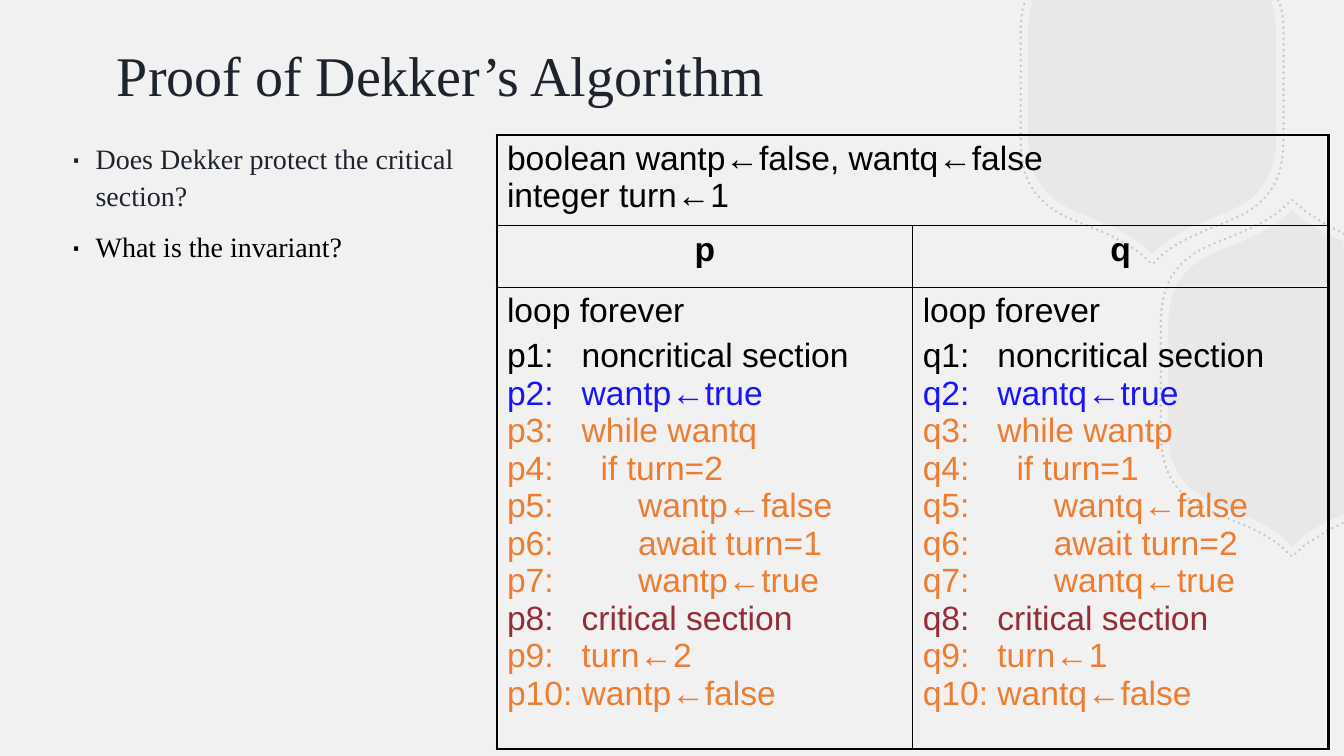
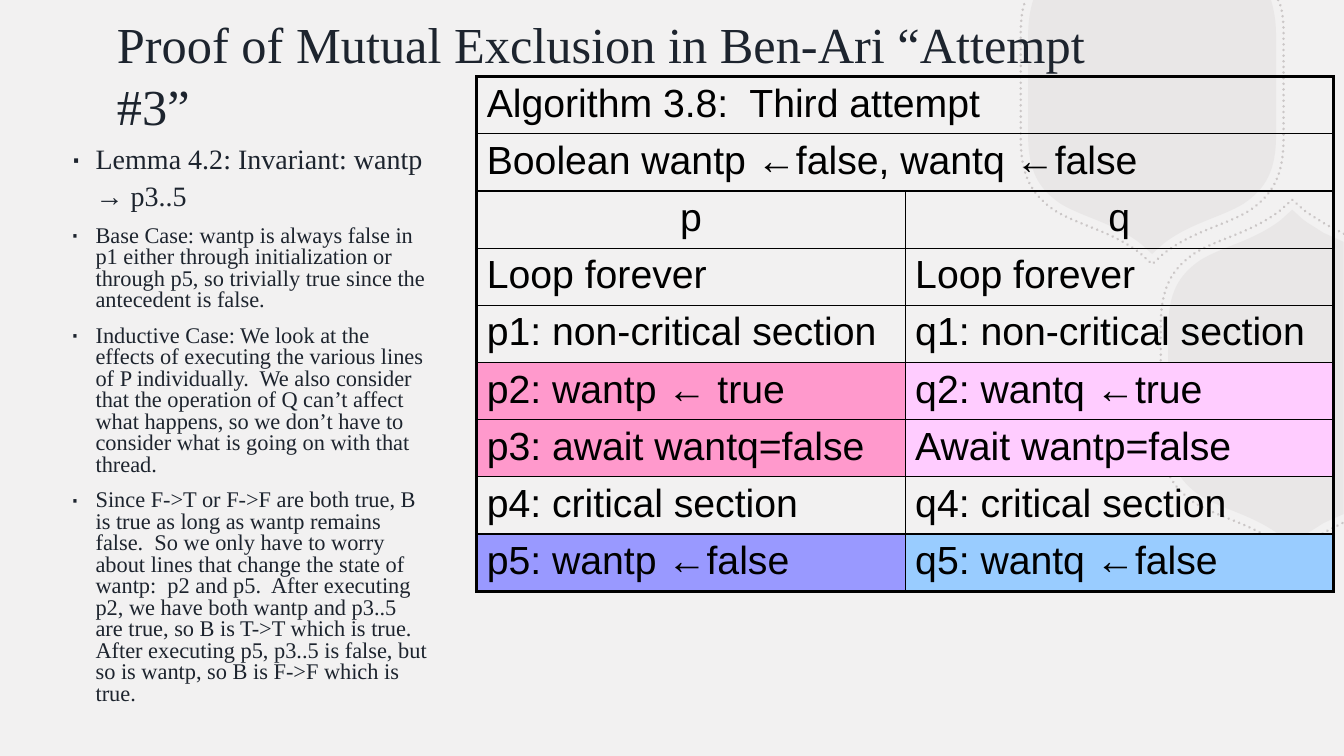
"""Build two slides on proving mutual exclusion for concurrent algorithms."""
from dataclasses import dataclass

from lxml.etree import SubElement
from pptx import Presentation
from pptx.dml.color import RGBColor
from pptx.enum.dml import MSO_LINE
from pptx.enum.text import MSO_ANCHOR, MSO_AUTO_SIZE, PP_ALIGN
from pptx.oxml.ns import qn
from pptx.util import Inches, Pt


@dataclass(frozen=True)
class Theme:
    background: str = "F2F1F1"
    ink: str = "1D242E"
    black: str = "000000"
    tile: str = "B8B2B2"
    announce: str = "1715FF"
    protocol: str = "ED7D31"
    critical: str = "952D38"
    pink: str = "FF99CC"
    pale_pink: str = "FFCCFF"
    violet: str = "9999FF"
    sky: str = "99CCFF"
    serif: str = "Times New Roman"
    sans: str = "Arial"
    lead_size: float = 20
    detail_size: float = 16
    outer_border: float = 2.25
    inner_border: float = 1
    paragraph_gap: float = 5.5


@dataclass(frozen=True)
class Line:
    text: str
    color: str = "000000"


@dataclass(frozen=True)
class Cell:
    paragraphs: tuple
    fill: str = ""
    header: bool = False


THEME = Theme()
SLIDE_WIDTH, SLIDE_HEIGHT = 40 / 3, 7.5
CODE_TABS = (0.74, 0.93, 1.3)

DEKKER = [
    ("noncritical section", 1, THEME.black),
    ("want{me}←true", 1, THEME.announce),
    ("while want{other}", 1, THEME.protocol),
    ("if turn={theirs}", 2, THEME.protocol),
    ("want{me}←false", 3, THEME.protocol),
    ("await turn={mine}", 3, THEME.protocol),
    ("want{me}←true", 3, THEME.protocol),
    ("critical section", 1, THEME.critical),
    ("turn←{theirs}", 1, THEME.protocol),
    ("want{me}←false", 1, THEME.protocol),
]


def dekker_process(me, other, mine, theirs):
    """Return the numbered program of one Dekker process as a cell."""
    program = []
    for number, (statement, depth, color) in enumerate(DEKKER, 1):
        code = statement.format(me=me, other=other, mine=mine, theirs=theirs)
        program.append(Line(f"{me}{number}:" + "\t" * depth + code, color))
    return Cell(((Line("loop forever"),), tuple(program)))


def plain(text, fill="", header=False):
    """Return a cell holding a single line."""
    return Cell(((Line(text),),), fill, header)


SLIDES = [
    {
        "title": "Proof of Dekker’s Algorithm",
        "title_size": 40,
        "bullets_box": (0.6, 1.32, 9.93, 3.99),
        "bullets": [
            ("Does Dekker protect the critical \nsection?", THEME.lead_size, 1.1, THEME.ink),
            ("What is the invariant?", THEME.lead_size, 1.1, THEME.black),
        ],
        "table_box": (4.93, 1.34, 8.25),
        "row_heights": [0.9, 0.61, 4.58],
        "table_size": 24,
        "bold_header": True,
        "rows": [
            [Cell(((Line("boolean wantp←false, wantq←false"), Line("integer turn←1")),))],
            [plain("p", header=True), plain("q", header=True)],
            [dekker_process("p", "q", 1, 2), dekker_process("q", "p", 2, 1)],
        ],
    },
    {
        "title": "Proof of Mutual Exclusion in Ben-Ari “Attempt #3”",
        "title_size": 36,
        "bullets_box": (0.6, 1.32, 3.75, 5.91),
        "bullets": [
            ("Lemma 4.2: Invariant: wantp → p3..5", THEME.lead_size, 1.1, THEME.ink),
            ("Base Case: wantp is always false in p1 either through initialization or "
             "through p5, so trivially true since the antecedent is false.",
             THEME.detail_size, 0.8, THEME.ink),
            ("Inductive Case: We look at the effects of executing the various lines of P "
             "individually.  We also consider that the operation of Q can’t affect what "
             "happens, so we don’t have to consider what is going on with that thread.",
             THEME.detail_size, 0.8, THEME.ink),
            ("Since F->T or F->F are both true, B is true as long as wantp remains false.  "
             "So we only have to worry about lines that change the state of wantp:  p2 and "
             "p5.  After executing p2, we have both wantp and p3..5 are true, so B is T->T "
             "which is true.  After executing p5, p3..5 is false, but so is wantp, so B is "
             "F->F which is true.", THEME.detail_size, 0.8, THEME.ink),
        ],
        "table_box": (4.73, 0.76, 8.5),
        "row_heights": [5.1 / 9] * 9,
        "table_size": 28,
        "bold_header": False,
        "rows": [
            [plain("Algorithm 3.8:  Third attempt")],
            [plain("Boolean wantp ←false, wantq ←false")],
            [plain("p", header=True), plain("q", header=True)],
            [plain("Loop forever"), plain("Loop forever")],
            [plain("p1: non-critical section"), plain("q1: non-critical section")],
            [plain("p2: wantp ← true", THEME.pink), plain("q2: wantq ←true", THEME.pale_pink)],
            [plain("p3: await wantq=false", THEME.pink),
             plain("Await wantp=false", THEME.pale_pink)],
            [plain("p4: critical section"), plain("q4: critical section")],
            [plain("p5: wantp ←false", THEME.violet), plain("q5: wantq ←false", THEME.sky)],
        ],
    },
]

CORNER = [(1.23, 0.49), (1.23, 0.84), (1.13, 1.02), (0.91, 1.17),
          (0.68, 1.31), (0.38, 1.36), (0.11, 1.57)]
TILES = [
    {
        "center": (11.43, 0.85),
        "half": [(1.18, -0.85), (1.21, -0.75), (1.23, -0.64), (1.23, -0.49)] + CORNER,
        "kinds": "CLCC",
        "joint": (0, 1.67),
        "mirror": (-1, 1),
    },
    {
        "center": (12.82, 3.75),
        "half": [(0.51, -1.35), (0.31, -1.44), (0.25, -1.48), (0.18, -1.52), (0.11, -1.57),
                 (0, -1.67)] + [(-x, -y) for x, y in reversed(CORNER)],
        "kinds": "LCLLCC",
        "joint": (-1.23, 0),
        "mirror": (1, -1),
    },
]
DOTTED_SCALE = 1.06


def style_runs(paragraph, font_name, size, bold, colors):
    """Format the runs of a paragraph, one colour for each."""
    for run, color in zip(paragraph.runs, colors):
        run.font.name, run.font.size, run.font.bold = font_name, Pt(size), bold
        run.font.color.rgb = RGBColor.from_string(color)


def draw_tile(slide, tile, scale, solid, alpha):
    """Draw one tile as a tinted area or as an open outline with curves."""
    half, (flip_x, flip_y) = tile["half"], tile["mirror"]
    outline = half + [tile["joint"]] + [(x * flip_x, y * flip_y) for x, y in reversed(half)]
    kinds = tile["kinds"] + "LL" + tile["kinds"][::-1]
    center_x, center_y = tile["center"]
    points = [(Inches(min(center_x + x * scale, SLIDE_WIDTH)),
               Inches(max(center_y + y * scale, 0))) for x, y in outline]
    builder = slide.shapes.build_freeform(*points[0], scale=1.0)
    builder.add_line_segments(points[1:], close=solid)
    shape = builder.convert_to_shape()
    shape.shadow.inherit = False

    segments = iter(list(shape.element.iter(qn("a:lnTo"))))
    for kind in kinds:
        segment = next(segments)
        if kind == "C":
            segment.tag = qn("a:cubicBezTo")
            for follower in (next(segments), next(segments)):
                segment.append(follower[0])
                follower.getparent().remove(follower)

    tinted, empty = (shape.fill, shape.line.fill) if solid else (shape.line.fill, shape.fill)
    empty.background()
    tinted.solid()
    tinted.fore_color.rgb = RGBColor.from_string(THEME.tile)
    for tint in shape.element.iter(qn("a:srgbClr")):
        SubElement(tint, qn("a:alpha"), val=str(alpha * 1000))
    return shape


def decorate_layout(layout, slide):
    """Give the layout its background and tiles, drawn by way of a slide."""
    layout.background.fill.solid()
    layout.background.fill.fore_color.rgb = RGBColor.from_string(THEME.background)
    for tile in TILES:
        area = draw_tile(slide, tile, 1, True, 15)
        dots = draw_tile(slide, tile, DOTTED_SCALE, False, 65)
        dots.line.width = Pt(2)
        dots.line.dash_style = MSO_LINE.ROUND_DOT
        for stroke in dots.element.iter(qn("a:ln")):
            stroke.set("cap", "rnd")
        for shape in (area, dots):
            layout.shapes.element.append(shape.element)


def set_title(slide, text, size):
    """Place and format the title."""
    title = slide.shapes.title
    title.left, title.top, title.width, title.height = map(Inches, (1.06, 0.15, 9.93, 1.16))
    frame = title.text_frame
    frame.text = text
    frame.auto_size = MSO_AUTO_SIZE.NONE
    frame.vertical_anchor = MSO_ANCHOR.MIDDLE
    paragraph = frame.paragraphs[0]
    paragraph.alignment = PP_ALIGN.LEFT
    paragraph.line_spacing = 1.03
    style_runs(paragraph, THEME.serif, size, False, [THEME.ink])


def add_bullets(slide, box, bullets):
    """Add the bulleted notes beside the table."""
    frame = slide.shapes.add_textbox(*map(Inches, box)).text_frame
    frame.word_wrap = True
    for index, (text, size, spacing, color) in enumerate(bullets):
        paragraph = frame.add_paragraph() if index else frame.paragraphs[0]
        paragraph.text = text
        paragraph.line_spacing = spacing
        paragraph.space_before = Pt(10)
        style_runs(paragraph, THEME.serif, size, False, [color] * len(paragraph.runs))
        properties = paragraph._p.get_or_add_pPr()
        properties.set("marL", str(Inches(0.25)))
        properties.set("indent", str(Inches(-0.25)))
        SubElement(properties, qn("a:buSzPct"), val="150000")
        SubElement(properties, qn("a:buFont"), typeface=THEME.sans)
        SubElement(properties, qn("a:buChar"), char="∙")


def set_borders(cell, outer_sides):
    """Draw four cell borders, heavier on the outer sides."""
    properties = cell._tc.get_or_add_tcPr()
    for side in "LRTB":
        width = THEME.outer_border if side in outer_sides else THEME.inner_border
        border = SubElement(properties, qn(f"a:ln{side}"), w=str(Pt(width)))
        SubElement(SubElement(border, qn("a:solidFill")), qn("a:srgbClr"), val=THEME.black)


def fill_cell(cell, content, size, bold_header):
    """Write the paragraphs of a cell and set its fill."""
    if content.fill:
        cell.fill.solid()
        cell.fill.fore_color.rgb = RGBColor.from_string(content.fill)
    else:
        cell.fill.background()
    frame = cell.text_frame
    for index, lines in enumerate(content.paragraphs):
        paragraph = frame.add_paragraph() if index else frame.paragraphs[0]
        paragraph.text = "\n".join(line.text for line in lines)
        paragraph.alignment = PP_ALIGN.CENTER if content.header else PP_ALIGN.LEFT
        paragraph.space_before = Pt(THEME.paragraph_gap if index else 0)
        style_runs(paragraph, THEME.sans, size, content.header and bold_header,
                   [line.color for line in lines])
        if "\t" in paragraph.text:
            stops = SubElement(paragraph._p.get_or_add_pPr(), qn("a:tabLst"))
            for position in CODE_TABS:
                SubElement(stops, qn("a:tab"), pos=str(Inches(position)), algn="l")


def add_program_table(slide, content):
    """Add the two-process program table; a row with one cell spans it."""
    rows, heights = content["rows"], content["row_heights"]
    left, top, width = content["table_box"]
    table = slide.shapes.add_table(len(rows), 2, *map(Inches, (left, top, width, sum(heights)))).table
    table.first_row = table.horz_banding = False
    for index, (row, height) in enumerate(zip(rows, heights)):
        table.rows[index].height = Inches(height)
        edge = ("T" if index == 0 else "") + ("B" if index == len(rows) - 1 else "")
        pair = table.cell(index, 0), table.cell(index, 1)
        if len(row) == 1:
            pair[0].merge(pair[1])
        for cell, side in zip(pair, "LR"):
            set_borders(cell, edge + ("LR" if len(row) == 1 else side))
        for cell, part in zip(pair, row):
            fill_cell(cell, part, content["table_size"], content["bold_header"])


def main():
    """Build and save the presentation."""
    deck = Presentation()
    deck.slide_width, deck.slide_height = Inches(SLIDE_WIDTH), Inches(SLIDE_HEIGHT)
    layout = deck.slide_layouts[5]
    for index, content in enumerate(SLIDES):
        slide = deck.slides.add_slide(layout)
        if index == 0:
            decorate_layout(layout, slide)
        set_title(slide, content["title"], content["title_size"])
        add_bullets(slide, content["bullets_box"], content["bullets"])
        add_program_table(slide, content)
    deck.save("out.pptx")


if __name__ == "__main__":
    main()
